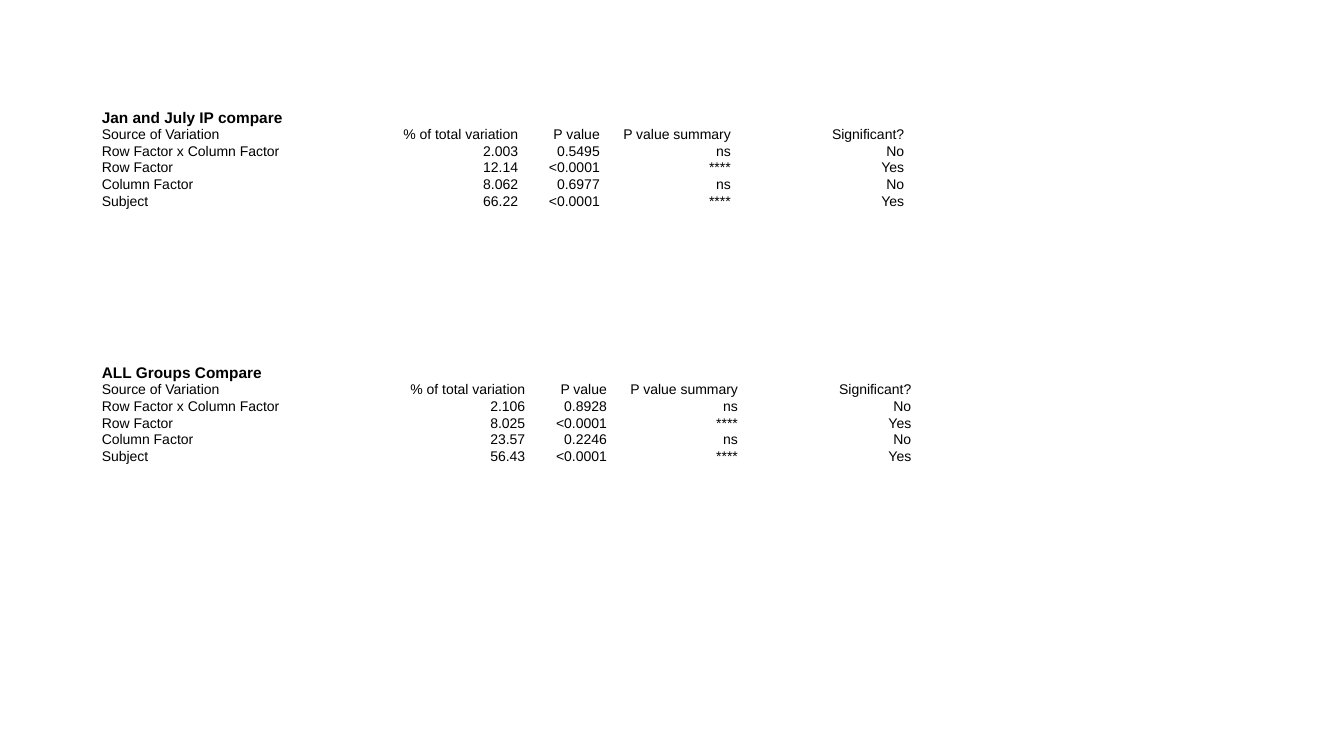
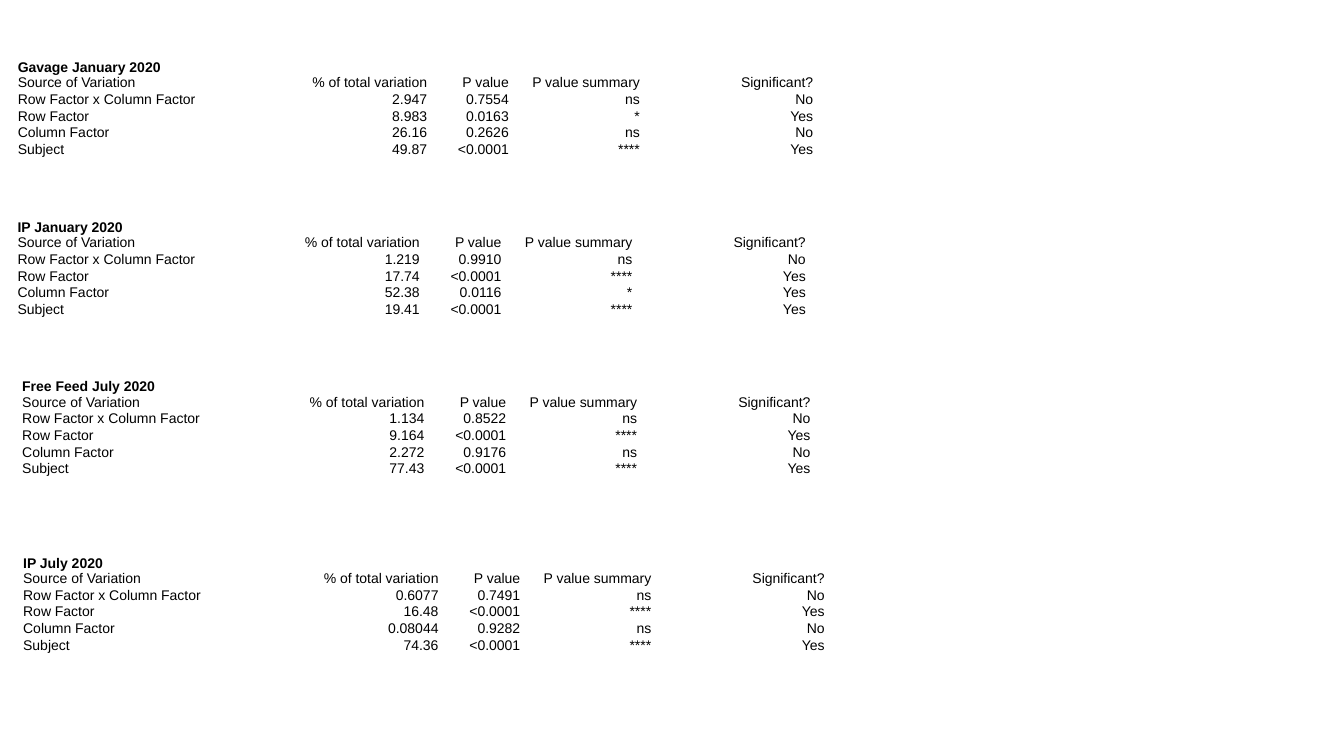
from pptx import Presentation
from pptx.dml.color import RGBColor
from pptx.enum.text import MSO_ANCHOR, PP_ALIGN
from pptx.util import Inches, Pt

WIDTH, HEIGHT = Inches(13.33), Inches(7.5)
BLACK = RGBColor(0, 0, 0)
FONT = "Arial"
BODY_SIZE = 10
INSET = Inches(0.01)
ROW_SHARE = 2.13
NARROW, WIDE = 17.17, 18.15
RESULT_SHARES = [6.08, 9.75, 12.9]
SOURCES = ["Row Factor x Column Factor", "Row Factor", "Column Factor", "Subject"]
HEADINGS = ["% of total variation", "P value", "P value summary", "Significant?"]

# Each table: title, left, top, source width, variation width (percent of slide), results
SLIDES = [
    (11, [
        ("Jan and July IP compare", 7.5, 14.4, NARROW, 13.95,
         [("2.003", "0.5495", "ns"), ("12.14", "<0.0001", "****"),
          ("8.062", "0.6977", "ns"), ("66.22", "<0.0001", "****")]),
        ("ALL Groups Compare", 7.5, 48.13, NARROW, 14.48,
         [("2.106", "0.8928", "ns"), ("8.025", "<0.0001", "****"),
          ("23.57", "0.2246", "ns"), ("56.43", "<0.0001", "****")]),
    ]),
    (10, [
        ("Gavage January 2020", 1.25, 7.73, NARROW, 13.43,
         [("2.947", "0.7554", "ns"), ("8.983", "0.0163", "*"),
          ("26.16", "0.2626", "ns"), ("49.87", "<0.0001", "****")]),
        ("IP January 2020", 1.23, 28.93, NARROW, 12.9,
         [("1.219", "0.9910", "ns"), ("17.74", "<0.0001", "****"),
          ("52.38", "0.0116", "*"), ("19.41", "<0.0001", "****")]),
        ("Free Feed July 2020", 1.58, 50, NARROW, 12.9,
         [("1.134", "0.8522", "ns"), ("9.164", "<0.0001", "****"),
          ("2.272", "0.9176", "ns"), ("77.43", "<0.0001", "****")]),
        ("IP July 2020", 1.65, 73.33, WIDE, 12.9,
         [("0.6077", "0.7491", "ns"), ("16.48", "<0.0001", "****"),
          ("0.08044", "0.9282", "ns"), ("74.36", "<0.0001", "****")]),
    ]),
]


def across(percent):
    """Return a share of the slide's width."""
    return int(WIDTH * percent / 100)


def down(percent):
    """Return a share of the slide's height."""
    return int(HEIGHT * percent / 100)


def style_paragraph(para, align, size=BODY_SIZE, bold=False):
    """Align a paragraph and format its runs."""
    para.alignment = align
    for span in para.runs:
        span.font.name = FONT
        span.font.size = Pt(size)
        span.font.bold = bold
        span.font.color.rgb = BLACK


def fill_cell(cell, text, align):
    """Write plain text at the foot of an unfilled cell."""
    cell.fill.background()
    cell.vertical_anchor = MSO_ANCHOR.BOTTOM
    cell.margin_left = cell.margin_right = cell.margin_top = INSET
    cell.margin_bottom = 0
    cell.text_frame.text = text
    for para in cell.text_frame.paragraphs:
        style_paragraph(para, align)


def add_variation_table(page, title_size, title, left, top, source, variation, results):
    """Add one titled table of variation sources."""
    shares = [source, variation] + RESULT_SHARES
    rows = [[f"{title}\nSource of Variation"] + HEADINGS]
    for name, (share, p_value, summary) in zip(SOURCES, results):
        significant = "No" if summary == "ns" else "Yes"
        rows.append([name, share, p_value, summary, significant])

    table = page.shapes.add_table(
        len(rows), len(shares), across(left), down(top),
        across(sum(shares)), down(ROW_SHARE * (len(rows) + 1))).table
    table.first_row = False
    table.horz_banding = False
    for column, share in zip(table.columns, shares):
        column.width = across(share)
    for row_index, values in enumerate(rows):
        table.rows[row_index].height = down(ROW_SHARE * (1 if row_index else 2))
        for column_index, value in enumerate(values):
            align = PP_ALIGN.RIGHT if column_index else PP_ALIGN.LEFT
            fill_cell(table.cell(row_index, column_index), value, align)
    title_para = table.cell(0, 0).text_frame.paragraphs[0]
    style_paragraph(title_para, PP_ALIGN.LEFT, title_size, bold=True)


def main():
    """Build and save the deck."""
    deck = Presentation()
    deck.slide_width, deck.slide_height = WIDTH, HEIGHT
    for title_size, tables in SLIDES:
        page = deck.slides.add_slide(deck.slide_layouts[6])
        for table in tables:
            add_variation_table(page, title_size, *table)
    deck.save("out.pptx")


if __name__ == "__main__":
    main()
